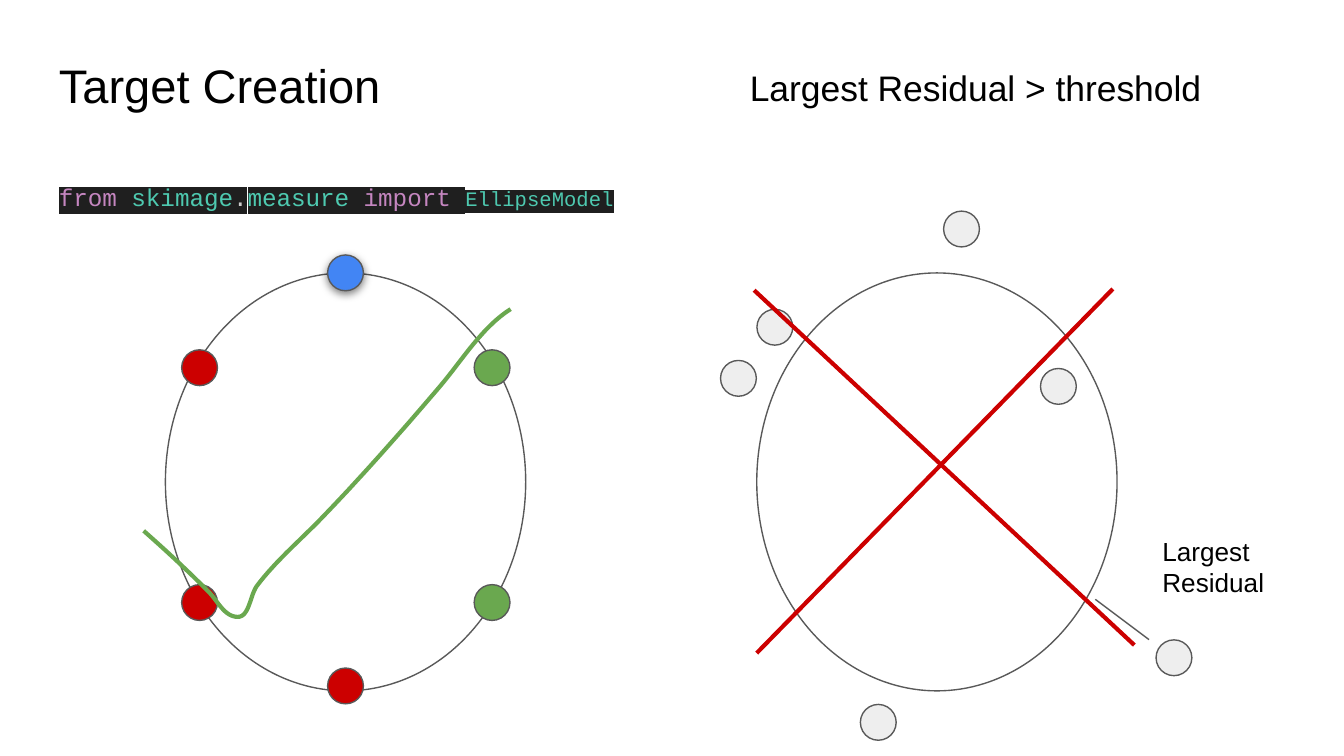
from lxml import etree
from pptx import Presentation
from pptx.dml.color import RGBColor
from pptx.enum import shapes, text
from pptx.oxml import parse_xml
from pptx.oxml.ns import qn, nsdecls
from pptx.util import Pt

OVAL_W, OVAL_H = 193, 223.9
DOT = 19.2
GRAY, RED, BLUE, GREEN, PALE = "595959", "CC0000", "4285F4", "6AA84F", "EEEEEE"
PINK, TEAL, LIGHT, DARK = "C586C0", "4EC9B0", "CCCCCC", "1F1F1F"

CODE = [("from", PINK, 13), (" ", LIGHT, 13), ("skimage", TEAL, 13),
        (".", LIGHT, 13), ("measure", TEAL, 13), (" ", LIGHT, 13),
        ("import", PINK, 13), (" ", LIGHT, 13), ("EllipseModel", TEAL, 11)]

# Dot centres and curve points are relative to the oval's top left corner.
FITTED = [(96.5, 221.3, RED), (96.5, 0, BLUE), (175, 50.8, GREEN),
          (175, 176.6, GREEN), (18.3, 176.6, RED), (18.3, 50.8, RED)]
LOOSE = [(109.7, -23.5), (161.6, 60.8), (223.5, 206.2),
         (65.1, 240.8), (-9.8, 56.5), (9.7, 29.1)]
CURVE = [(-11.6, 138.2), (0.7, 149), (12.2, 159.8), (23, 170.6),
         (28, 175.6), (31.6, 184.3), (38.8, 184.3),
         (45.3, 184.3), (45.3, 172), (49.6, 167),
         (59, 154.8), (70.5, 144.7), (81.3, 133.9),
         (104.4, 110.1), (126, 85.6), (146.8, 61.2),
         (159.1, 46.8), (169.2, 29.5), (185, 19.4)]


def color(code):
    return RGBColor.from_string(code)


def add_text(slide, box, runs, font="Arial", back=None, space=None):
    """Place one paragraph of (words, colour, size) runs."""
    frame = slide.shapes.add_textbox(*map(Pt, box)).text_frame
    frame.word_wrap = True
    frame.vertical_anchor = text.MSO_ANCHOR.TOP
    frame.margin_left = frame.margin_right = Pt(7.2)
    frame.margin_top = frame.margin_bottom = Pt(7.2)
    para = frame.paragraphs[0]
    if space:
        para.line_spacing = space
    for words, hue, size in runs:
        run = para.add_run()
        run.text = words
        run.font.size = Pt(size)
        run.font.color.rgb = color(hue)
        if back:
            mark = etree.SubElement(run.font._element, qn("a:highlight"))
            etree.SubElement(mark, qn("a:srgbClr"), val=back)
        run.font.name = font


def add_oval(slide, x, y, w, h, fill):
    oval = slide.shapes.add_shape(
        shapes.MSO_SHAPE.OVAL, Pt(x), Pt(y), Pt(w), Pt(h))
    oval.shadow.inherit = False
    oval.fill.solid()
    oval.fill.fore_color.rgb = color(fill)
    oval.line.color.rgb = color(GRAY)
    oval.line.width = Pt(0.75)
    return oval


def add_dot(slide, x, y, fill):
    """Place a dot by its centre."""
    return add_oval(slide, x - DOT / 2, y - DOT / 2, DOT, DOT, fill)


def add_line(group, ends, hue, width):
    line = group.add_connector(
        shapes.MSO_CONNECTOR.STRAIGHT, *map(Pt, ends))
    line.line.color.rgb = color(hue)
    line.line.width = Pt(width)
    etree.SubElement(line._element.spPr, qn("a:effectLst"))


def add_glow(shape):
    """Give the shape a soft drop shadow."""
    shape._element.spPr.find(qn("a:effectLst")).append(parse_xml(
        f'<a:outerShdw {nsdecls("a")} blurRad="{Pt(4.5)}" dist="{Pt(1.5)}" '
        'dir="5400000" algn="bl" rotWithShape="0"><a:srgbClr val="000000">'
        '<a:alpha val="50000"/></a:srgbClr></a:outerShdw>'))


def trace(knots, steps=16):
    """Sample a chain of cubic Bezier curves."""
    points = [knots[0]]
    for i in range(0, len(knots) - 1, 3):
        for n in range(1, steps + 1):
            t = n / steps
            parts = ((1 - t) ** 3, 3 * t * (1 - t) ** 2,
                     3 * t * t * (1 - t), t ** 3)
            points.append(tuple(
                sum(p * k[axis] for p, k in zip(parts, knots[i:i + 4]))
                for axis in (0, 1)))
    return points


def add_curve(slide, x, y):
    points = [(Pt(x + a), Pt(y + b)) for a, b in trace(CURVE)]
    pen = slide.shapes.build_freeform(*points[0])
    pen.add_line_segments(points[1:], close=False)
    curve = pen.convert_to_shape()
    curve.shadow.inherit = False
    curve.fill.background()
    curve.line.color.rgb = color(GREEN)
    curve.line.width = Pt(2.25)


def draw_fit(slide, x, y):
    add_oval(slide, x, y, OVAL_W, OVAL_H, "FFFFFF")
    for a, b, fill in FITTED:
        dot = add_dot(slide, x + a, y + b, fill)
        if fill == BLUE:
            add_glow(dot)
    add_curve(slide, x, y)


def draw_reject(slide, x, y):
    """Draw the oval with scattered dots, crossed out."""
    add_oval(slide, x, y, OVAL_W, OVAL_H, "FFFFFF")
    for a, b in LOOSE:
        add_dot(slide, x + a, y + b, PALE)
    add_line(slide.shapes,
             (x + 181.4, y + 174.9, x + 210.2, y + 196.5), GRAY, 0.75)
    add_text(slide, (x + 210.2, y + 133.2, 91.4, 48.2),
             [("Largest Residual", "000000", 14)])
    cross = slide.shapes.add_group_shape().shapes
    add_line(cross, (x + 190.8, y + 8.6, x, y + 203.7), RED, 2.25)
    add_line(cross, (x - 1.4, y + 9.3, x + 202.3, y + 199.4), RED, 2.25)


def draw_heads(slide):
    add_text(slide, (24.5, 23, 671, 45.4),
             [("Target Creation", "000000", 25.2)])
    add_text(slide, (394.6, 28.1, 267.8, 37.4),
             [("Largest Residual > threshold", "000000", 19)])
    add_text(slide, (24.5, 82.8, 314.6, 30.2), CODE,
             "Courier New", DARK, 1.5)


def main():
    deck = Presentation()
    deck.slide_width, deck.slide_height = Pt(720), Pt(405)
    slide = deck.slides.add_slide(deck.slide_layouts[6])
    draw_heads(slide)
    draw_fit(slide, 88.6, 146.2)
    draw_reject(slide, 405.4, 146.2)
    deck.save("out.pptx")


if __name__ == "__main__":
    main()
